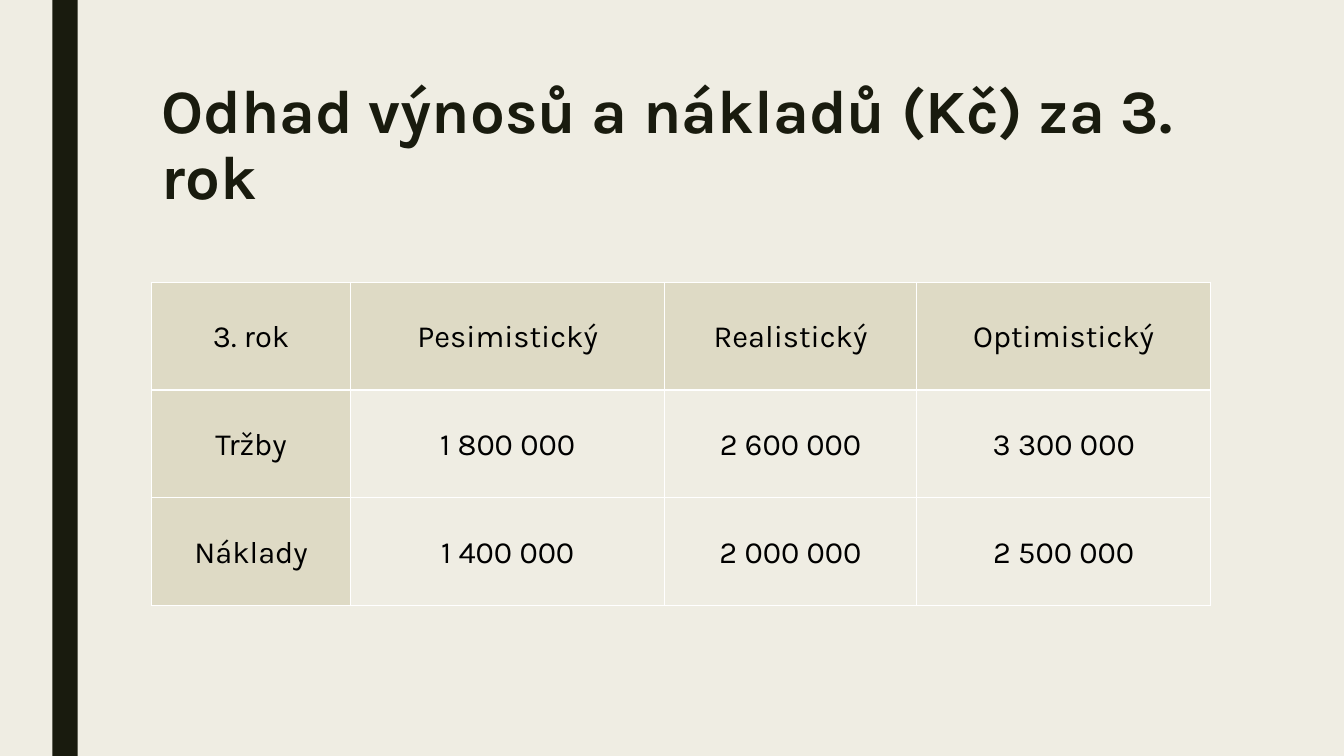
from lxml import etree
from pptx import Presentation
from pptx.dml.color import RGBColor
from pptx.enum.shapes import MSO_SHAPE
from pptx.enum.text import MSO_ANCHOR, PP_ALIGN
from pptx.oxml.ns import qn
from pptx.util import Inches, Pt

RECTANGLE = MSO_SHAPE.RECTANGLE
TOP, MIDDLE = MSO_ANCHOR.TOP, MSO_ANCHOR.MIDDLE
LEFT, CENTER = PP_ALIGN.LEFT, PP_ALIGN.CENTER

COLORS = {
    "background": "EFEDE3",
    "dark": "191B0E",
    "header": "DEDAC5",
    "text": "000000",
    "border": "FFFFFF",
}
TITLE = "Odhad výnosů a nákladů (Kč) za 3. rok"
ESTIMATES = [
    ["3. rok", "Pesimistický", "Realistický", "Optimistický"],
    ["Tržby", "1 800 000", "2 600 000", "3 300 000"],
    ["Náklady", "1 400 000", "2 000 000", "2 500 000"],
]
COLUMN_WIDTHS = [1.98, 3.11, 2.5, 2.92]
ROW_HEIGHT = 1.07


class SlideBuilder:
    def __init__(self, page, font="Karla"):
        self.page = page
        self.font = font

    def paint(self, fill, color):
        fill.solid()
        fill.fore_color.rgb = RGBColor.from_string(COLORS[color])

    def add_text(self, para, text, size, color, align, bold=False):
        para.alignment = align
        span = para.add_run()
        span.text = text
        span.font.name = self.font
        span.font.size = Pt(size)
        span.font.bold = bold
        span.font.color.rgb = RGBColor.from_string(COLORS[color])

    def background(self, color):
        self.paint(self.page.background.fill, color)

    def bar(self, left, top, width, height, color):
        shape = self.page.shapes.add_shape(
            RECTANGLE, Inches(left), Inches(top), Inches(width), Inches(height))
        shape.shadow.inherit = False
        self.paint(shape.fill, color)
        shape.line.fill.background()

    def title(self, text, left, top, width, height):
        box = self.page.shapes.title
        box.left, box.top = Inches(left), Inches(top)
        box.width, box.height = Inches(width), Inches(height)
        frame = box.text_frame
        frame.word_wrap = True
        frame.vertical_anchor = TOP
        para = frame.paragraphs[0]
        para.line_spacing = 0.89
        self.add_text(para, text, 44, "dark", LEFT, bold=True)

    def border(self, cell):
        """Draw a thin line on all four sides; call before filling the cell."""
        properties = cell._tc.get_or_add_tcPr()
        for side in ("a:lnL", "a:lnR", "a:lnT", "a:lnB"):
            line = etree.SubElement(properties, qn(side), w=str(Pt(1)))
            fill = etree.SubElement(line, qn("a:solidFill"))
            etree.SubElement(fill, qn("a:srgbClr"), val=COLORS["border"])

    def table(self, rows, left, top, widths, row_height):
        table = self.page.shapes.add_table(
            len(rows), len(widths), Inches(left), Inches(top),
            Inches(sum(widths)), Inches(row_height * len(rows))).table
        for column, width in zip(table.columns, widths):
            column.width = Inches(width)
        for r, values in enumerate(rows):
            table.rows[r].height = Inches(row_height)
            for c, value in enumerate(values):
                cell = table.cell(r, c)
                cell.margin_left = cell.margin_right = Inches(0.02)
                cell.margin_top, cell.margin_bottom = Inches(0.02), 0
                cell.vertical_anchor = MIDDLE
                self.border(cell)
                self.paint(cell.fill, "header" if r == 0 or c == 0 else "background")
                self.add_text(cell.text_frame.paragraphs[0], value, 22, "text", CENTER)


def main():
    deck = Presentation()
    deck.slide_width, deck.slide_height = Inches(13.33), Inches(7.5)
    title_only = deck.slide_layouts[5]
    builder = SlideBuilder(deck.slides.add_slide(title_only))
    builder.background("background")
    builder.bar(0.52, 0, 0.25, 7.5, "dark")
    builder.title(TITLE, 1.5, 0.75, 10.5, 1.62)
    builder.table(ESTIMATES, 1.5, 2.8, COLUMN_WIDTHS, ROW_HEIGHT)
    deck.save("out.pptx")


if __name__ == "__main__":
    main()
